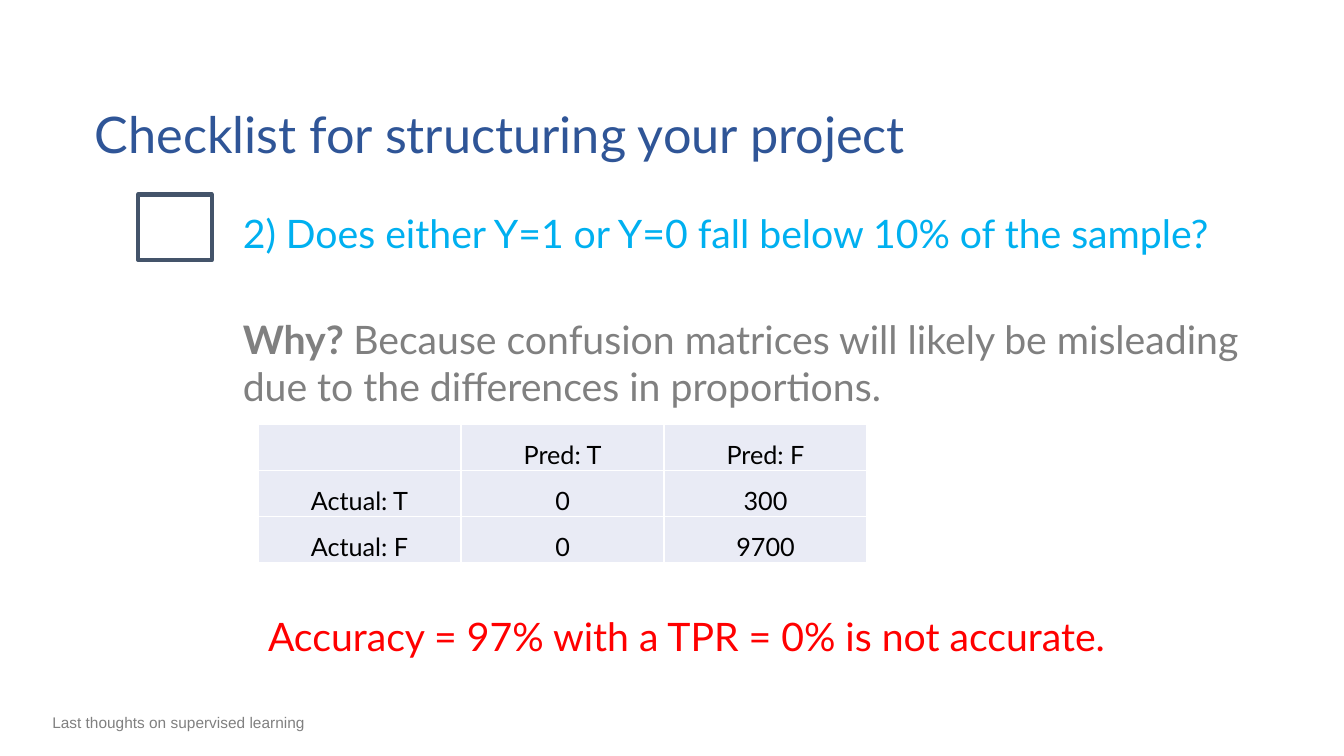
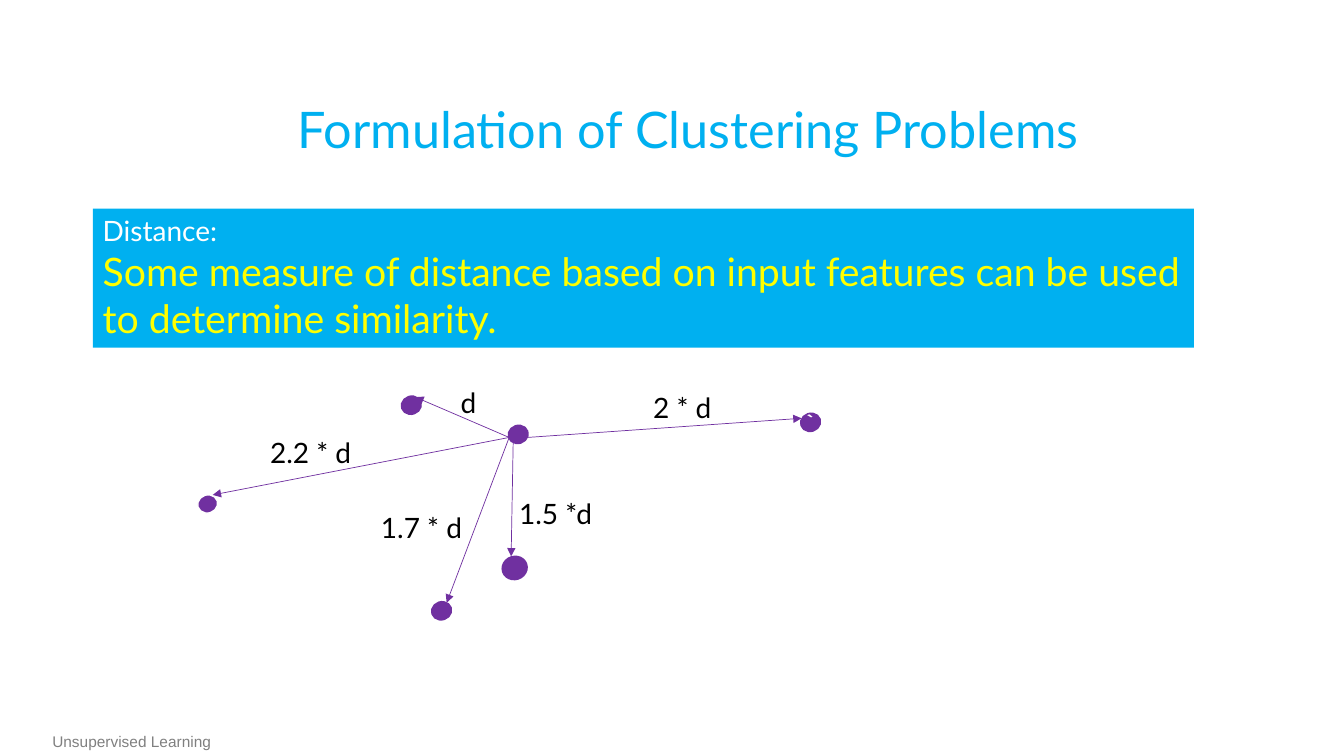
from lxml import etree
from pptx import Presentation
from pptx.dml.color import RGBColor
from pptx.enum import shapes, text
from pptx.oxml import ns
from pptx.util import Inches, Pt

# Shared style
BLUE = RGBColor(0x2F, 0x55, 0x97)
CYAN = RGBColor(0x00, 0xB0, 0xF0)
GRAY = RGBColor(0x80, 0x80, 0x80)
SLATE = RGBColor(0x44, 0x54, 0x6A)
PALE = RGBColor(0xE9, 0xEB, 0xF5)
PURPLE = RGBColor(0x70, 0x30, 0xA0)
RED = RGBColor(0xFF, 0x00, 0x00)
YELLOW = RGBColor(0xFF, 0xFF, 0x00)
WHITE = RGBColor(0xFF, 0xFF, 0xFF)
BLACK = RGBColor(0x00, 0x00, 0x00)
FONT = "Lato"
TITLE_SIZE, BODY_SIZE, LABEL_SIZE, CELL_SIZE, FOOTER_SIZE = 36, 28, 20, 18, 11
LEFT, CENTER = text.PP_ALIGN.LEFT, text.PP_ALIGN.CENTER


def write(paragraph, content, size=BODY_SIZE, color=BLACK, font=FONT,
          bold=False, align=LEFT):
    """Append one formatted run to a paragraph."""
    paragraph.alignment = align
    run = paragraph.add_run()
    run.text = content
    run.font.name = font
    run.font.size = Pt(size)
    run.font.bold = bold
    run.font.color.rgb = color


def add_text(slide, box, content, wrap=True, **style):
    """Place a text box and return its first paragraph."""
    frame = slide.shapes.add_textbox(*map(Inches, box)).text_frame
    frame.word_wrap = wrap
    if not wrap:
        frame.auto_size = text.MSO_AUTO_SIZE.SHAPE_TO_FIT_TEXT
    write(frame.paragraphs[0], content, **style)
    return frame.paragraphs[0]


def add_shape(slide, kind, box, fill=None, line=None, width=1):
    shape = slide.shapes.add_shape(kind, *map(Inches, box))
    shape.shadow.inherit = False
    if fill is None:
        shape.fill.background()
    else:
        shape.fill.solid()
        shape.fill.fore_color.rgb = fill
    if line is None:
        shape.line.fill.background()
    else:
        shape.line.color.rgb = line
        shape.line.width = Pt(width)
    return shape


def add_arrow(slide, start, end):
    arrow = slide.shapes.add_connector(
        shapes.MSO_CONNECTOR.STRAIGHT, *map(Inches, (*start, *end)))
    arrow.line.color.rgb = PURPLE
    arrow.line.width = Pt(0.5)
    line = arrow.line._get_or_add_ln()
    etree.SubElement(line, ns.qn("a:tailEnd"), type="triangle")
    etree.SubElement(arrow._element.spPr, ns.qn("a:effectLst"))


def add_title(slide, left, top, content, **style):
    add_text(slide, (left, top, 11.03, 0.71), content, size=TITLE_SIZE, **style)


def add_footer(slide, top, content):
    add_text(slide, (0.42, top, 3.41, 0.29), content,
             size=FOOTER_SIZE, color=GRAY, font="Arial")


def add_borders(cell, color, width):
    properties = cell._tc.get_or_add_tcPr()
    for index, side in enumerate(("lnL", "lnR", "lnT", "lnB")):
        line = etree.Element(ns.qn("a:" + side), w=str(Pt(width)))
        fill = etree.SubElement(line, ns.qn("a:solidFill"))
        etree.SubElement(fill, ns.qn("a:srgbClr"), val=str(color))
        properties.insert(index, line)


def add_confusion_matrix(slide, box, rows):
    table = slide.shapes.add_table(
        len(rows), len(rows[0]), *map(Inches, box)).table
    table.first_row = table.horz_banding = False
    for row_index, row in enumerate(rows):
        for column_index, value in enumerate(row):
            cell = table.cell(row_index, column_index)
            cell.fill.solid()
            cell.fill.fore_color.rgb = PALE
            cell.vertical_anchor = text.MSO_ANCHOR.BOTTOM
            cell.margin_left = cell.margin_right = cell.margin_top = Inches(0.01)
            cell.margin_bottom = 0
            add_borders(cell, WHITE, 1)
            if value:
                write(cell.text_frame.paragraphs[0], value,
                      size=CELL_SIZE, align=CENTER)


def add_definition(slide, box, term, meaning):
    banner = add_shape(slide, shapes.MSO_SHAPE.RECTANGLE, box, fill=CYAN)
    frame = banner.text_frame
    frame.word_wrap = True
    frame.vertical_anchor = text.MSO_ANCHOR.TOP
    write(frame.paragraphs[0], term, size=LABEL_SIZE, color=WHITE)
    write(frame.add_paragraph(), meaning, color=YELLOW)


def add_distance_diagram(slide, left, top):
    def at(x, y):
        return left + x, top + y

    # Points: x, y, width, height, outline, mark
    points = [
        (0, 1.13, 0.2, 0.18, WHITE, ""),
        (3.08, 0.44, 0.2, 0.18, PURPLE, ""),
        (2.02, 0.15, 0.2, 0.18, PURPLE, ""),
        (2.32, 2.19, 0.2, 0.18, PURPLE, ""),
        (5.98, 0.32, 0.2, 0.18, PURPLE, "`"),
        (3.02, 1.74, 0.25, 0.23, PURPLE, ""),
    ]
    for x, y, width, height, outline, mark in points:
        point = add_shape(slide, shapes.MSO_SHAPE.OVAL,
                          (*at(x, y), width, height), PURPLE, outline)
        point.rotation = 342
        if mark:
            point.text_frame.vertical_anchor = text.MSO_ANCHOR.MIDDLE
            write(point.text_frame.paragraphs[0], mark, size=CELL_SIZE,
                  color=WHITE, font="Calibri", align=CENTER)

    # Distances: arrow start, arrow end, label corner, label width, label
    hub = (3.09, 0.56)
    distances = [
        ((3.27, 0.56), (5.99, 0.37), (4.42, 0.05), 0.81, "2 * d"),
        (hub, (2.16, 0.16), (2.51, 0), 0.38, "d"),
        ((3.13, 0.61), (3.11, 1.74), (3.09, 1.1), 0.97, "1.5 *d"),
        (hub, (0.15, 1.13), (0.62, 0.49), 1.04, "2.2 * d"),
        (hub, (2.47, 2.2), (1.72, 1.24), 1.04, "1.7 * d"),
    ]
    for start, end, corner, width, label in distances:
        add_arrow(slide, at(*start), at(*end))
        add_text(slide, (*at(*corner), width, 0.44), label,
                 wrap=False, size=LABEL_SIZE)


def build_checklist(slide):
    add_title(slide, 0.84, 0.97, "Checklist for structuring your project",
              color=BLUE)
    # Question with its check box
    add_text(slide, (2.31, 2.03, 11.02, 1.38),
             "2) Does either Y=1 or Y=0 fall below 10% of the sample?",
             color=CYAN)
    add_shape(slide, shapes.MSO_SHAPE.RECTANGLE, (1.37, 1.93, 0.73, 0.65),
              line=SLATE, width=3)
    # Reason and example
    reason = add_text(slide, (2.31, 3.08, 10.37, 1.51), "Why? ",
                      color=GRAY, bold=True)
    write(reason, "Because confusion matrices will likely be misleading "
          "due to the differences in proportions.", color=GRAY)
    add_confusion_matrix(slide, (2.56, 4.21, 6.04, 1.37), [
        ("", "Pred: T", "Pred: F"),
        ("Actual: T", "0", "300"),
        ("Actual: F", "0", "9700"),
    ])
    add_text(slide, (2.56, 6.03, 9.31, 0.57),
             "Accuracy = 97% with a TPR = 0% is not accurate.", color=RED)
    add_footer(slide, 7.03, "Last thoughts on supervised learning")


def build_clustering(slide):
    add_title(slide, 1.31, 0.92, "Formulation of Clustering Problems",
              color=CYAN, align=CENTER)
    add_definition(slide, (0.92, 2.07, 10.92, 1.38), "Distance:",
                   "Some measure of distance based on input features can be "
                   "used to determine similarity.")
    add_distance_diagram(slide, 1.96, 3.78)
    add_footer(slide, 7.21, "Unsupervised Learning")


def main():
    presentation = Presentation()
    presentation.slide_width = Inches(13.33)
    presentation.slide_height = Inches(7.5)
    blank = presentation.slide_layouts[6]
    for build in (build_checklist, build_clustering):
        build(presentation.slides.add_slide(blank))
    presentation.save("out.pptx")


if __name__ == "__main__":
    main()
